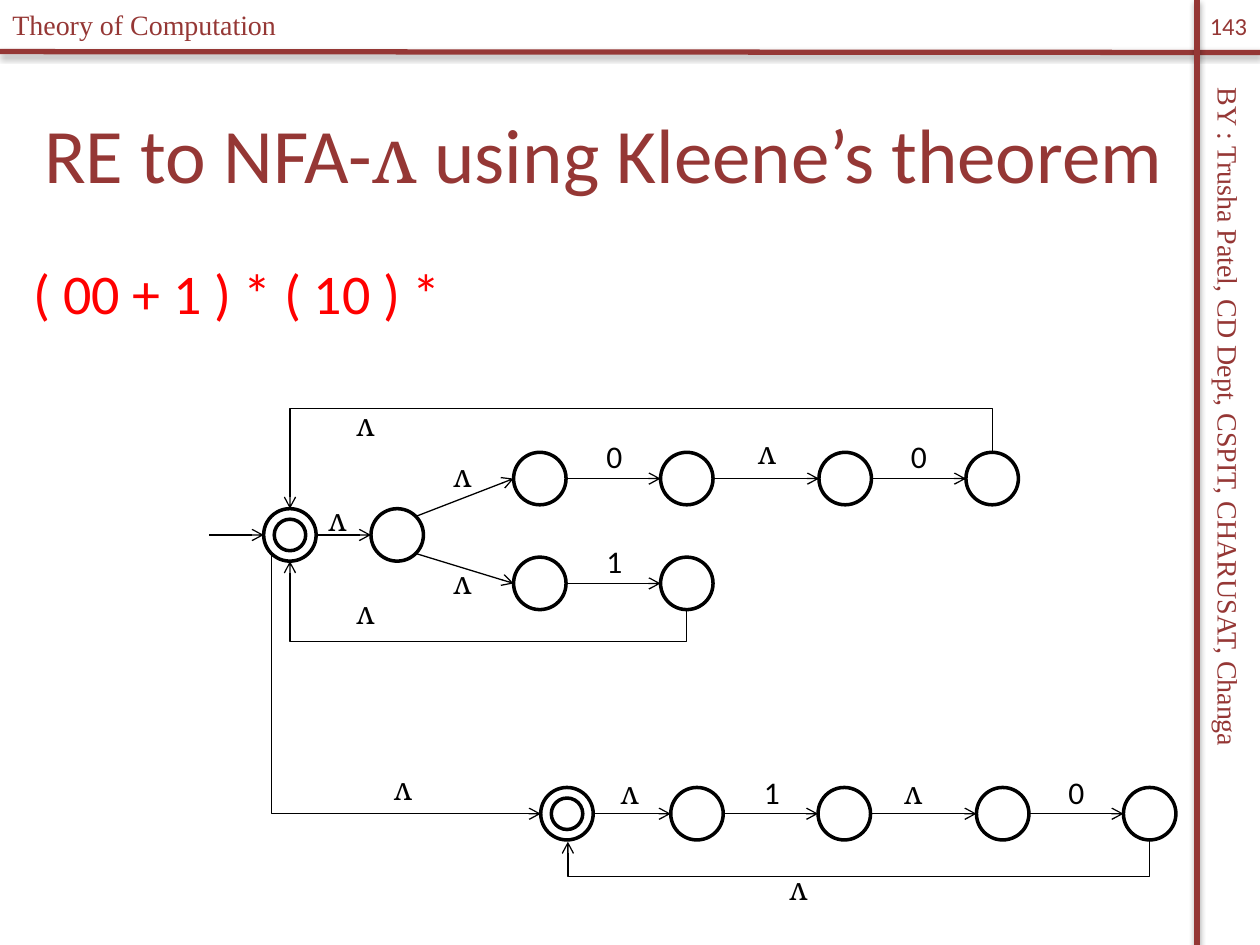
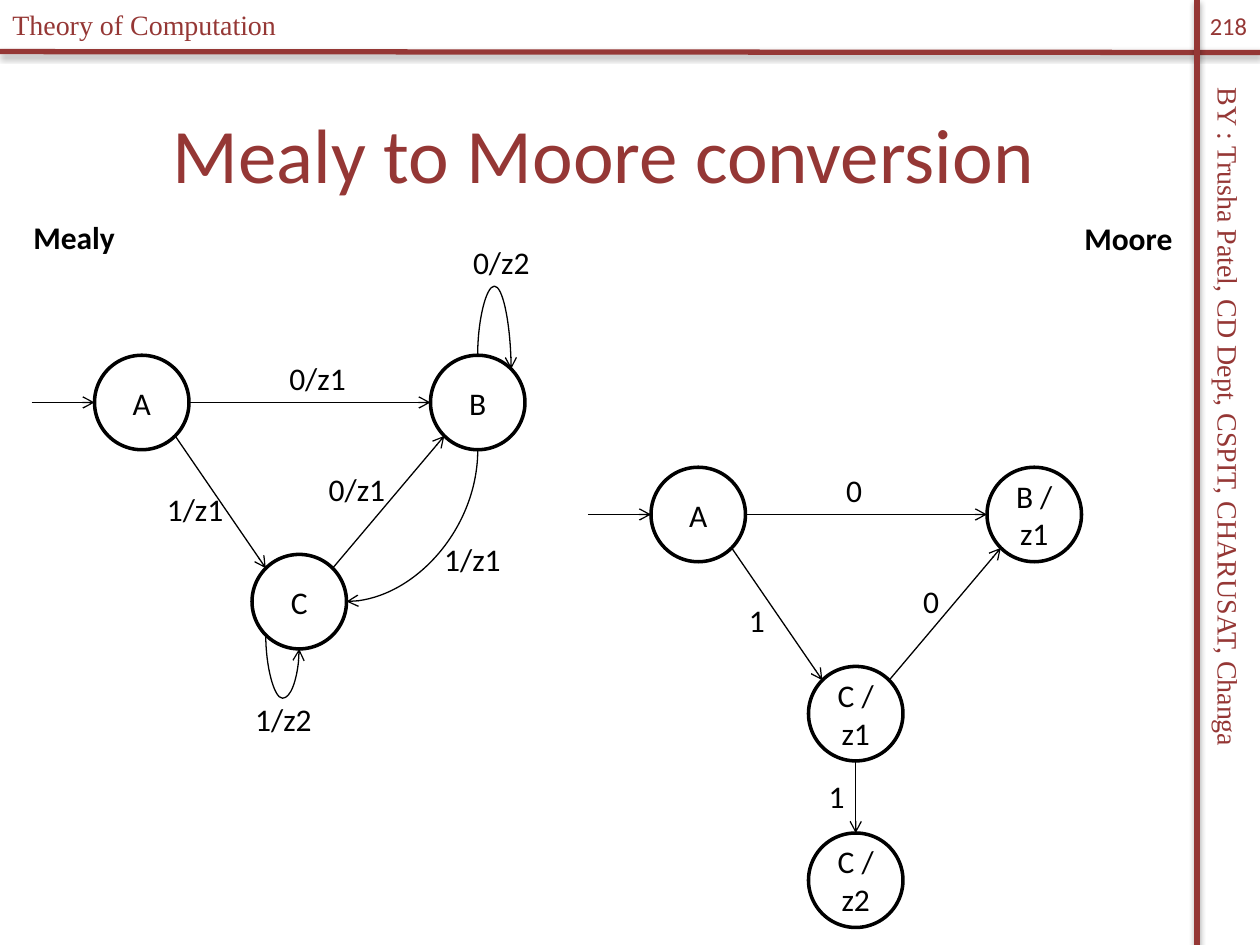
from dataclasses import dataclass
from itertools import pairwise
from typing import NamedTuple

from lxml import etree
from pptx import Presentation
from pptx import util as u
from pptx.dml.color import RGBColor
from pptx.enum import shapes, text
from pptx.oxml import ns
from pptx.slide import Slide

Pt = u.Pt
LAMBDA = "ʌ"
DIAGONAL = 0.5 ** 0.5
CENTER = text.PP_ALIGN.CENTER


@dataclass(frozen=True)
class Theme:
    accent: RGBColor = RGBColor(0x95, 0x37, 0x35)
    ink: RGBColor = RGBColor(0, 0, 0)
    paper: RGBColor = RGBColor(0xFF, 0xFF, 0xFF)
    formula: RGBColor = RGBColor(0xFF, 0, 0)
    body_font: str = "Calibri"
    symbol_font: str = "Cambria"
    band_font: str = "Times New Roman"
    title_size: float = 44
    formula_size: float = 32
    label_size: float = 18
    band_size: float = 16
    number_size: float = 14
    band_line: float = 3
    state_line: float = 2
    arrow_line: float = 0.75


THEME = Theme()


class Point(NamedTuple):
    x: float
    y: float


class Box(NamedTuple):
    left: float
    top: float
    width: float
    height: float

    def lengths(self) -> list[u.Length]:
        return [Pt(v) for v in self]


class Label(NamedTuple):
    text: str
    center: float
    top: float
    width: float = 24


@dataclass(frozen=True)
class State:
    x: float
    y: float
    radius: float = 15
    name: str = ""
    accepting: bool = False

    def edge(self, dx: int, dy: int) -> Point:
        """Point on the rim in the direction (dx, dy), each -1, 0 or 1."""
        reach = self.radius * (DIAGONAL if dx and dy else 1)
        return Point(self.x + dx * reach, self.y + dy * reach)


# --- Text and shapes ---

def style_paragraph(p, size: float, color: RGBColor, font: str, bold: bool = False) -> None:
    p.font.size, p.font.name, p.font.bold = Pt(size), font, bold
    p.font.color.rgb = color


def add_text(s: Slide, box: Box, runs: list[str], size: float, color: RGBColor = THEME.ink,
             font: str = THEME.body_font, align=None, middle: bool = False,
             wrap: bool = True, bold: bool = False):
    sp = s.shapes.add_textbox(*box.lengths())
    tf = sp.text_frame
    tf.word_wrap = wrap
    if middle:
        tf.vertical_anchor = text.MSO_ANCHOR.MIDDLE
    p = tf.paragraphs[0]
    p.alignment = align
    style_paragraph(p, size, color, font, bold)
    for words in runs:
        r = p.add_run()
        r.text = words
        if words == LAMBDA:
            r.font.name = THEME.symbol_font
    return sp


def add_labels(s: Slide, labels: list[Label]) -> None:
    for item in labels:
        box = Box(item.center - item.width / 2, item.top, item.width, 29)
        add_text(s, box, [item.text], THEME.label_size, align=CENTER, wrap=False)


def add_circle(s: Slide, x: float, y: float, radius: float):
    box = Box(x - radius, y - radius, 2 * radius, 2 * radius)
    sp = s.shapes.add_shape(shapes.MSO_SHAPE.OVAL, *box.lengths())
    sp.shadow.inherit = False
    sp.fill.solid()
    sp.fill.fore_color.rgb = THEME.paper
    sp.line.color.rgb = THEME.ink
    sp.line.width = Pt(THEME.state_line)
    return sp


def add_state(s: Slide, state: State) -> None:
    sp = add_circle(s, state.x, state.y, state.radius)
    if state.accepting:
        add_circle(s, state.x, state.y, 9)
    if state.name:
        tf = sp.text_frame
        tf.vertical_anchor = text.MSO_ANCHOR.MIDDLE
        p = tf.paragraphs[0]
        p.alignment = CENTER
        style_paragraph(p, THEME.label_size, THEME.ink, THEME.body_font)
        p.add_run().text = state.name


# --- Lines and arrows ---

def add_line(s: Slide, start: Point, end: Point, color: RGBColor, width: float,
             kind=shapes.MSO_CONNECTOR.STRAIGHT):
    line = s.shapes.add_connector(kind, *(Pt(v) for v in (*start, *end)))
    line.line.color.rgb = color
    line.line.width = Pt(width)
    etree.SubElement(line._element.spPr, ns.qn("a:effectLst"))
    return line


def add_arrow(s: Slide, start: Point, end: Point, kind=shapes.MSO_CONNECTOR.STRAIGHT):
    arrow = add_line(s, start, end, THEME.ink, THEME.arrow_line, kind)
    ln = arrow._element.spPr.find(ns.qn("a:ln"))
    etree.SubElement(ln, ns.qn("a:tailEnd"), type="arrow")
    return arrow


def add_detour(s: Slide, start: Point, end: Point, via: float | None = None,
               curved: bool = False) -> None:
    """Arrow that leaves vertically; via is the height of its crossbar."""
    kind = shapes.MSO_CONNECTOR.CURVE if curved else shapes.MSO_CONNECTOR.ELBOW
    arrow = add_arrow(s, start, end, kind)
    dx, dy = end.x - start.x, end.y - start.y
    # The frame is turned a quarter, so width and height change places
    w, h = abs(dy), abs(dx)
    box = Box((start.x + end.x - w) / 2, (start.y + end.y - h) / 2, w, h)
    arrow.left, arrow.top, arrow.width, arrow.height = box.lengths()
    spPr = arrow._element.spPr
    xfrm = spPr.find(ns.qn("a:xfrm"))
    for flip in ("flipH", "flipV"):
        xfrm.attrib.pop(flip, None)
    xfrm.set("rot", str((90 if dx < 0 else 270) * 60000))
    if dx * dy > 0:
        xfrm.set("flipH", "1")
    geometry = spPr.find(ns.qn("a:prstGeom"))
    if via is None:
        geometry.set("prst", "curvedConnector2" if curved else "bentConnector2")
    else:
        guides = geometry.find(ns.qn("a:avLst"))
        if guides is None:
            guides = etree.SubElement(geometry, ns.qn("a:avLst"))
        ratio = round((via - start.y) / dy * 100000)
        etree.SubElement(guides, ns.qn("a:gd"), name="adj1", fmla=f"val {ratio}")


def add_entry(s: Slide, state: State, length: float) -> None:
    end = state.edge(-1, 0)
    add_arrow(s, Point(end.x - length, end.y), end)


def add_chain(s: Slide, states: list[State]) -> None:
    for state in states:
        add_state(s, state)
    for a, b in pairwise(states):
        add_arrow(s, a.edge(1, 0), b.edge(-1, 0))


# --- Frame shared by the slides ---

def add_band(s: Slide, start: Point, end: Point) -> None:
    band = add_line(s, start, end, THEME.accent, THEME.band_line)
    effects = band._element.spPr.find(ns.qn("a:effectLst"))
    shadow = etree.SubElement(effects, ns.qn("a:outerShdw"), blurRad="40000", dist="23000",
                              dir="5400000", rotWithShape="0")
    tint = etree.SubElement(shadow, ns.qn("a:srgbClr"), val="000000")
    etree.SubElement(tint, ns.qn("a:alpha"), val="35000")


def new_slide(prs, title: list[str], number: str) -> Slide:
    s = prs.slides.add_slide(prs.slide_layouts[6])
    add_band(s, Point(0, 29.5), Point(720, 30))
    add_band(s, Point(684, 0), Point(684, 540))
    author = add_text(s, Box(471, 260.6, 462, 26.6),
                      ["BY : Trusha Patel, CD Dept, CSPIT, CHARUSAT, Changa"],
                      THEME.band_size, THEME.accent, THEME.band_font)
    author.rotation = 90
    add_text(s, Box(0, 0.7, 237, 26.6), ["Theory of Computation"],
             THEME.band_size, THEME.accent, THEME.band_font)
    add_text(s, Box(12, 42, 666, 90), title, THEME.title_size, THEME.accent,
             align=CENTER, middle=True)
    add_text(s, Box(684, 0, 36, 29), [number], THEME.number_size, THEME.accent,
             align=CENTER, middle=True)
    return s


# --- Slide 1: NFA of a regular expression ---

def build_kleene(prs) -> None:
    s = new_slide(prs, ["RE to NFA-", LAMBDA, " using Kleene’s theorem"], "143")
    add_text(s, Box(12, 144, 666, 60), ["( 00 + 1 ) * ( 10 ) *"],
             THEME.formula_size, THEME.formula)

    start, fork = State(165.7, 305.7, accepting=True), State(227, 305.7)
    zeros = [State(x, 273.5) for x in (308.5, 392.5, 483, 567)]
    one = [State(x, 333.4) for x in (308.5, 392.5)]
    one_zero = [State(x, 465, accepting=x == 324) for x in (324, 398.3, 482.5, 573, 657)]
    for chain in ([start, fork], zeros, one, one_zero):
        add_chain(s, chain)
    add_entry(s, start, 31)
    add_arrow(s, fork.edge(1, -1), zeros[0].edge(-1, 0))
    add_arrow(s, fork.edge(1, 1), one[0].edge(-1, 0))

    # Loops back, then the step to the second part
    loop = one_zero[0]
    add_detour(s, zeros[-1].edge(0, -1), start.edge(0, -1), via=233.3)
    add_detour(s, one[-1].edge(0, 1), start.edge(0, 1), via=366.5)
    add_detour(s, one_zero[-1].edge(0, 1), Point(loop.x + 0.5, loop.y + 16), via=501)
    add_detour(s, start.edge(-1, 1), loop.edge(-1, 0))

    add_labels(s, [
        Label("0", 351, 246), Label(LAMBDA, 438, 244), Label("0", 525, 246),
        Label("1", 351, 306), Label(LAMBDA, 264, 257), Label(LAMBDA, 264, 318),
        Label(LAMBDA, 208.5, 228), Label(LAMBDA, 192.5, 282), Label(LAMBDA, 208.5, 335.5),
        Label(LAMBDA, 230, 436), Label(LAMBDA, 359.5, 438), Label("1", 441, 438),
        Label(LAMBDA, 521.5, 438), Label("0", 615, 438), Label(LAMBDA, 456, 493)])


# --- Slide 2: Mealy and Moore machines ---

def add_triangle(s: Slide, x: float, y: float, names: list[str]) -> list[State]:
    offsets = ((0, 0), (192, 0), (90, 113.8))
    a, b, c = states = [State(x + dx, y + dy, 27, name)
                        for (dx, dy), name in zip(offsets, names)]
    for state in states:
        add_state(s, state)
    add_entry(s, a, 36)
    add_arrow(s, a.edge(1, 0), b.edge(-1, 0))
    add_arrow(s, a.edge(1, 1), c.edge(-1, -1))
    add_arrow(s, c.edge(1, -1), b.edge(-1, 1))
    return states


def build_mealy_moore(prs) -> None:
    s = new_slide(prs, ["Mealy to Moore conversion"], "218")
    for name, left, top, width in (("Mealy", 12, 121, 61), ("Moore", 612.5, 121.7, 65.5)):
        add_text(s, Box(left, top, width, 29), [name], THEME.label_size, wrap=False, bold=True)

    # Mealy machine
    _, b, c = add_triangle(s, 81, 230, ["A", "B", "C"])
    add_detour(s, b.edge(0, 1), c.edge(1, 0), curved=True)
    add_detour(s, b.edge(0, -1), b.edge(1, -1), via=163.5, curved=True)
    add_detour(s, c.edge(-1, 1), c.edge(0, 1), via=399, curved=True)
    add_labels(s, [Label(*label, width=47.5) for label in (
        ("0/z1", 181.5, 201.5), ("1/z1", 111.5, 276.5), ("1/z2", 162, 396.5),
        ("1/z1", 270, 305), ("0/z1", 204, 265), ("0/z2", 286.5, 135.5))])

    # Moore machine
    _, _, c = add_triangle(s, 399, 294, ["A", "B / z1", "C / z1"])
    last = State(c.x, 503, 27, "C / z2")
    add_state(s, last)
    add_arrow(s, c.edge(0, 1), last.edge(0, -1))
    add_labels(s, [Label("0", 488, 265.5), Label("1", 432.5, 340),
                   Label("0", 532, 329), Label("1", 478, 440.5)])


def main() -> None:
    prs = Presentation()
    prs.slide_width, prs.slide_height = Pt(720), Pt(540)
    build_kleene(prs)
    build_mealy_moore(prs)
    prs.save("out.pptx")


if __name__ == "__main__":
    main()
